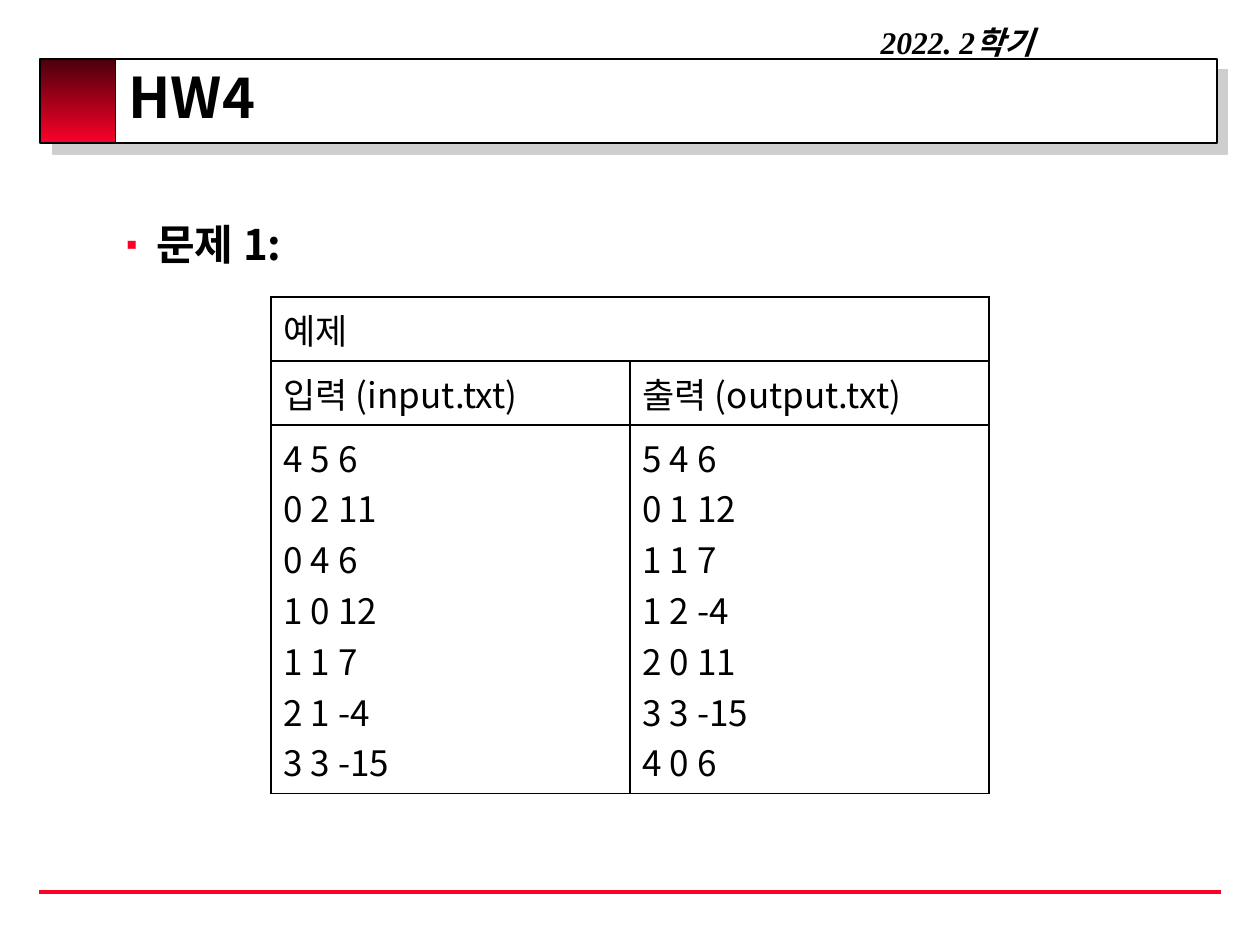
from lxml.etree import SubElement as Sub
from pptx import Presentation
from pptx.dml.color import RGBColor as Rgb
from pptx.enum.shapes import MSO_CONNECTOR as Con, MSO_SHAPE as Form
from pptx.enum.text import MSO_ANCHOR as Anchor, PP_ALIGN as Align
from pptx.oxml.ns import qn
from pptx.util import Cm, Pt

HUES = {"ink": "000000", "page": "FFFFFF", "red": "FC0128",
        "dark": "4B000C", "shade": "CECECE"}
SANS = "Noto Sans CJK KR"
SERIF = "Times New Roman"
ROWS = [
    ["예제", ""],
    ["입력 (input.txt)", "출력 (output.txt)"],
    ["4 5 6\n0 2 11\n0 4 6\n1 0 12\n1 1 7\n2 1 -4\n3 3 -15",
     "5 4 6\n0 1 12\n1 1 7\n1 2 -4\n2 0 11\n3 3 -15\n4 0 6"],
]


def hue(name):
    return Rgb.from_string(HUES[name])


def node(owner, tag, **attrs):
    return Sub(owner, qn("a:" + tag), attrs)


def tint(owner, name):
    node(node(owner, "solidFill"), "srgbClr", val=HUES[name])


def shade(owner, dist):
    drop = node(owner, "outerShdw", dist=str(Pt(dist)), dir="2700000",
                algn="ctr", rotWithShape="0")
    node(drop, "srgbClr", val=HUES["shade"])


def style(run, **form):
    base = {"name": SANS, "size": Pt(20), "bold": False, "italic": False}
    for key, val in {**base, **form}.items():
        setattr(run.font, key, val)
    run.font.color.rgb = hue("ink")
    node(run.font._element, "ea", typeface=SANS)


def write(slide, box, text, form, **lay):
    frame = slide.shapes.add_textbox(*map(Cm, box)).text_frame
    frame.word_wrap = True
    for key, val in lay.items():
        setattr(frame, key, val)
    para = frame.paragraphs[0]
    run = para.add_run()
    run.text = text
    style(run, **form)
    return para


def block(slide, box):
    shape = slide.shapes.add_shape(Form.RECTANGLE, *map(Cm, box))
    shape.shadow.inherit = False
    shape.line.color.rgb = hue("ink")
    shape.line.width = Pt(1)
    return shape


def header(slide, box, text):
    left, top, wide, high = box
    bar = block(slide, box)
    bar.fill.solid()
    bar.fill.fore_color.rgb = hue("page")
    shade(bar._element.spPr.find(qn("a:effectLst")), 8.5)
    mark = block(slide, (left - 0.05, top, 1.52, high))
    mark.fill.gradient()
    mark.fill.gradient_angle = 270
    for stop, name in zip(mark.fill.gradient_stops, ("dark", "red")):
        stop.color.rgb = hue(name)
    para = write(slide, (left + 1.48, top - 0.07, wide - 1.4, high + 0.2),
                 text, {"size": Pt(32), "bold": True},
                 vertical_anchor=Anchor.MIDDLE)
    para.line_spacing = 0.8
    props = para.runs[0].font._element
    glow = node(props, "effectLst")
    shade(glow, 3)
    props.find(qn("a:solidFill")).addnext(glow)


def term(slide, box, text):
    form = {"name": SERIF, "size": Pt(18), "bold": True, "italic": True}
    write(slide, box, text, form).alignment = Align.CENTER


def point(slide, box, text):
    para = write(slide, box, text, {"size": Pt(24), "bold": True})
    props = para._p.get_or_add_pPr()
    props.set("marL", str(Cm(0.79)))
    props.set("indent", str(-Cm(0.79)))
    node(node(props, "buClr"), "srgbClr", val=HUES["red"])
    node(props, "buSzPct", val="70000")
    node(props, "buFont", typeface=SANS)
    node(props, "buChar", char="▪")


def edge(cell):
    props = cell._tc.get_or_add_tcPr()
    for spot, side in enumerate(("lnL", "lnR", "lnT", "lnB")):
        line = node(props, side, w=str(Pt(1)))
        tint(line, "ink")
        props.insert(spot, line)


def sample(slide, box, highs):
    table = slide.shapes.add_table(len(ROWS), 2, *map(Cm, box)).table
    table.first_row = table.horz_banding = False
    for col in table.columns:
        col.width = Cm(box[2] / 2)
    for row, high, texts in zip(table.rows, highs, ROWS):
        row.height = Cm(high)
        for cell, text in zip(row.cells, texts):
            cell.text = text
            cell.fill.solid()
            cell.fill.fore_color.rgb = hue("page")
            edge(cell)
            for para in cell.text_frame.paragraphs:
                for run in para.runs:
                    style(run)
    table.cell(0, 0).merge(table.cell(0, 1))


def footer(slide, left, top, wide):
    rule = slide.shapes.add_connector(
        Con.STRAIGHT, *map(Cm, (left, top, left + wide, top)))
    rule.line.color.rgb = hue("red")
    rule.line.width = Pt(2.25)
    node(rule._element.spPr, "effectLst")


deck = Presentation()
deck.slide_width, deck.slide_height = Cm(25.4), Cm(19.05)
page = deck.slides.add_slide(deck.slide_layouts[6])
header(page, (0.86, 1.19, 23.67, 1.7), "HW4")
footer(page, 0.79, 17.98, 23.82)
term(page, (13.89, 0.33, 10.8, 1.02), "2022. 2학기")
point(page, (2.11, 4.29, 22.28, 1.5), "문제 1:")
sample(page, (5.46, 5.99, 14.48, 10.01), (1.29, 1.29, 7.43))
deck.save("out.pptx")
